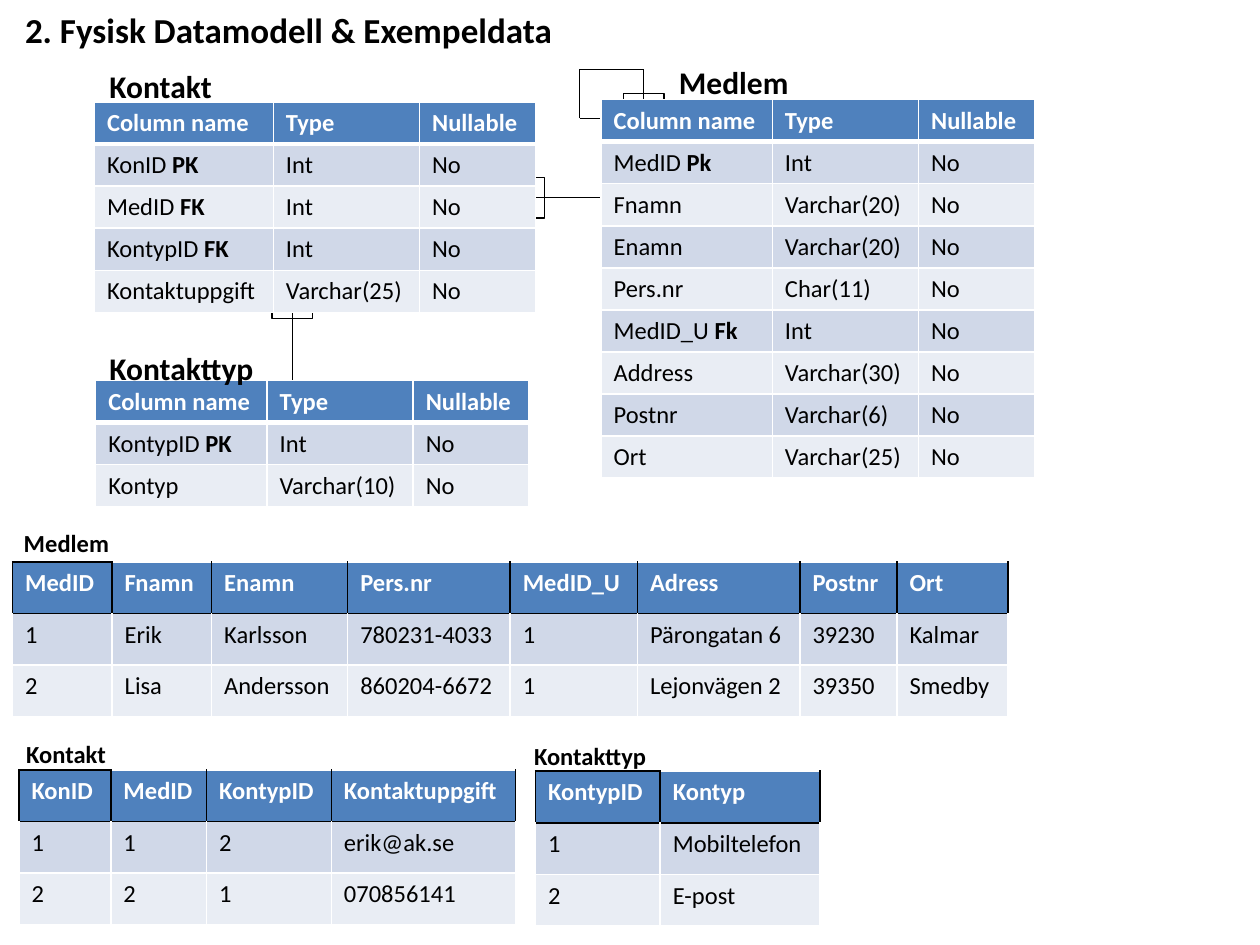
from lxml.etree import SubElement
from pptx import Presentation
from pptx.dml.color import RGBColor
from pptx.enum.shapes import MSO_CONNECTOR as CONN, MSO_SHAPE as SHAPE
from pptx.oxml import parse_xml
from pptx.oxml.ns import nsdecls, qn
from pptx.util import Inches, Pt

COLORS = {"header": "4F81BD", "odd": "D0D8E8", "even": "E9EDF4",
          "white": "FFFFFF", "black": "000000"}
SCHEMA_HEAD = ["Column name", "Type", "Nullable"]


def color(name):
    return RGBColor.from_string(COLORS[name])


def add_label(slide, text, left, top, width, height, size):
    tf = slide.shapes.add_textbox(*map(Inches, (left, top, width, height))).text_frame
    tf.word_wrap = True
    p = tf.paragraphs[0]
    p.text = text
    p.font.name, p.font.size, p.font.bold = "Calibri", Pt(size), True
    p.font.color.rgb = color("black")


def add_line(slide, start, end, target=None, side=0):
    line = slide.shapes.add_connector(CONN.STRAIGHT, *map(Inches, start + end))
    if target is not None:
        line.end_connect(target, side)
    line.line.width = Pt(0.75)
    line.line.color.rgb = color("black")
    SubElement(line._element.spPr, qn("a:effectLst"))


def add_many_end(slide, left, top, width, height):
    """Small open box that marks the 'many' end of a relation."""
    sp = slide.shapes.add_shape(SHAPE.RECTANGLE, *map(Inches, (left, top, width, height)))
    sp.shadow.inherit = False
    sp.fill.background()
    sp.line.width = Pt(0.75)
    sp.line.color.rgb = color("black")
    return sp


def set_borders(cell, borders):
    tcPr = cell._tc.get_or_add_tcPr()
    for i, side in enumerate("LRTB"):
        name, points = borders.get(side, ("white", 1))
        tcPr.insert(i, parse_xml(
            f'<a:ln{side} {nsdecls("a")} w="{Pt(points)}"><a:solidFill>'
            f'<a:srgbClr val="{COLORS[name]}"/></a:solidFill></a:ln{side}>'))


def fill_cell(cell, text, row):
    """Write a cell; a trailing PK or FK mark is bold."""
    p = cell.text_frame.paragraphs[0]
    p.font.name, p.font.size, p.font.bold = "Calibri", Pt(14), row == 0
    p.font.color.rgb = color("black" if row else "white")
    name, _, key = text.rpartition(" ")
    if key.upper() in ("PK", "FK"):
        p.add_run().text = name + " "
        r = p.add_run()
        r.text, r.font.bold = key, True
    else:
        p.add_run().text = text
    cell.fill.solid()
    cell.fill.fore_color.rgb = color("header" if row == 0 else "odd" if row % 2 else "even")


def add_grid(slide, left, top, widths, row_height, rows, borders_at):
    tbl = slide.shapes.add_table(
        len(rows), len(widths), Inches(left), Inches(top),
        Inches(sum(widths)), Inches(row_height * len(rows))).table
    for col, width in zip(tbl.columns, widths):
        col.width = Inches(width)
    for i, values in enumerate(rows):
        tbl.rows[i].height = Inches(row_height)
        for j, text in enumerate(values):
            fill_cell(tbl.cell(i, j), text, i)
            set_borders(tbl.cell(i, j), borders_at(i, j))


def schema_borders(row, col):
    return {0: {"B": ("white", 3)}, 1: {"T": ("white", 3)}}.get(row, {})


def sample_borders(row, col):
    black = ("black", 1)
    sides = "LRB" if row == 0 else "T" if row == 1 else ""
    if row == col == 0:
        sides += "T"
    return dict.fromkeys(sides, black)


def add_schema(slide, left, top, columns, first_width=1.36):
    rows = [SCHEMA_HEAD] + [[name, kind, "No"] for name, kind in columns]
    add_grid(slide, left, top, [first_width, 1.16, 0.92], 0.33, rows, schema_borders)


def add_sample(slide, left, top, widths, rows):
    add_grid(slide, left, top, widths, 0.41, rows, sample_borders)


def add_relations(slide):
    # Medlem refers to itself
    many = add_many_end(slide, 4.95, 0.74, 0.32, 0.08)
    corners = [(4.94, 0.94), (4.6, 0.94), (4.6, 0.55), (5.11, 0.55)]
    for start, end in zip(corners, corners[1:]):
        add_line(slide, start, end)
    add_line(slide, corners[-1], (5.11, 0.82), many, 2)
    # Kontakttyp to Kontakt
    many = add_many_end(slide, 2.16, 2.46, 0.32, 0.07)
    add_line(slide, (2.32, 3.12), (2.32, 2.46), many, 0)
    # Medlem to Kontakt
    many = add_many_end(slide, 4.25, 1.41, 0.07, 0.32)
    add_line(slide, (5.18, 1.57), (4.25, 1.57), many, 1)


def add_model(slide):
    add_schema(slide, 4.77, 0.79, [
        ("MedID Pk", "Int"), ("Fnamn", "Varchar(20)"), ("Enamn", "Varchar(20)"),
        ("Pers.nr", "Char(11)"), ("MedID_U Fk", "Int"), ("Address", "Varchar(30)"),
        ("Postnr", "Varchar(6)"), ("Ort", "Varchar(25)")])
    add_schema(slide, 0.75, 0.81, [
        ("KonID PK", "Int"), ("MedID FK", "Int"), ("KontypID FK", "Int"),
        ("Kontaktuppgift", "Varchar(25)")], first_width=1.42)
    add_schema(slide, 0.76, 3.02, [("KontypID PK", "Int"), ("Kontyp", "Varchar(10)")])
    for text, left, top in [("Medlem", 5.29, 0.45), ("Kontakt", 0.77, 0.48),
                            ("Kontakttyp", 0.77, 2.72)]:
        add_label(slide, text, left, top, 3.42, 0.4, 18)


def add_samples(slide):
    add_sample(slide, 0.1, 4.46, [0.79, 0.79, 1.08, 1.29, 1.01, 1.29, 0.77, 0.88], [
        ["MedID", "Fnamn", "Enamn", "Pers.nr", "MedID_U", "Adress", "Postnr", "Ort"],
        ["1", "Erik", "Karlsson", "780231-4033", "1", "Pärongatan 6", "39230", "Kalmar"],
        ["2", "Lisa", "Andersson", "860204-6672", "1", "Lejonvägen 2", "39350", "Smedby"]])
    add_sample(slide, 0.15, 6.11, [0.73, 0.76, 0.99, 1.46], [
        ["KonID", "MedID", "KontypID", "Kontaktuppgift"],
        ["1", "1", "2", "erik@ak.se"],
        ["2", "2", "1", "070856141"]])
    add_sample(slide, 4.25, 6.12, [0.99, 1.27], [
        ["KontypID", "Kontyp"], ["1", "Mobiltelefon"], ["2", "E-post"]])
    for text, left, top in [("Medlem", 0.09, 4.14), ("Kontakt", 0.11, 5.82),
                            ("Kontakttyp", 4.14, 5.83)]:
        add_label(slide, text, left, top, 1.5, 0.34, 14)


def main():
    prs = Presentation()
    prs.slide_width, prs.slide_height = Inches(10), Inches(7.5)
    slide = prs.slides.add_slide(prs.slide_layouts[6])
    add_label(slide, "2. Fysisk Datamodell & Exempeldata", 0.1, 0.02, 7.09, 0.44, 20)
    add_relations(slide)
    add_model(slide)
    add_samples(slide)
    prs.save("out.pptx")


if __name__ == "__main__":
    main()
